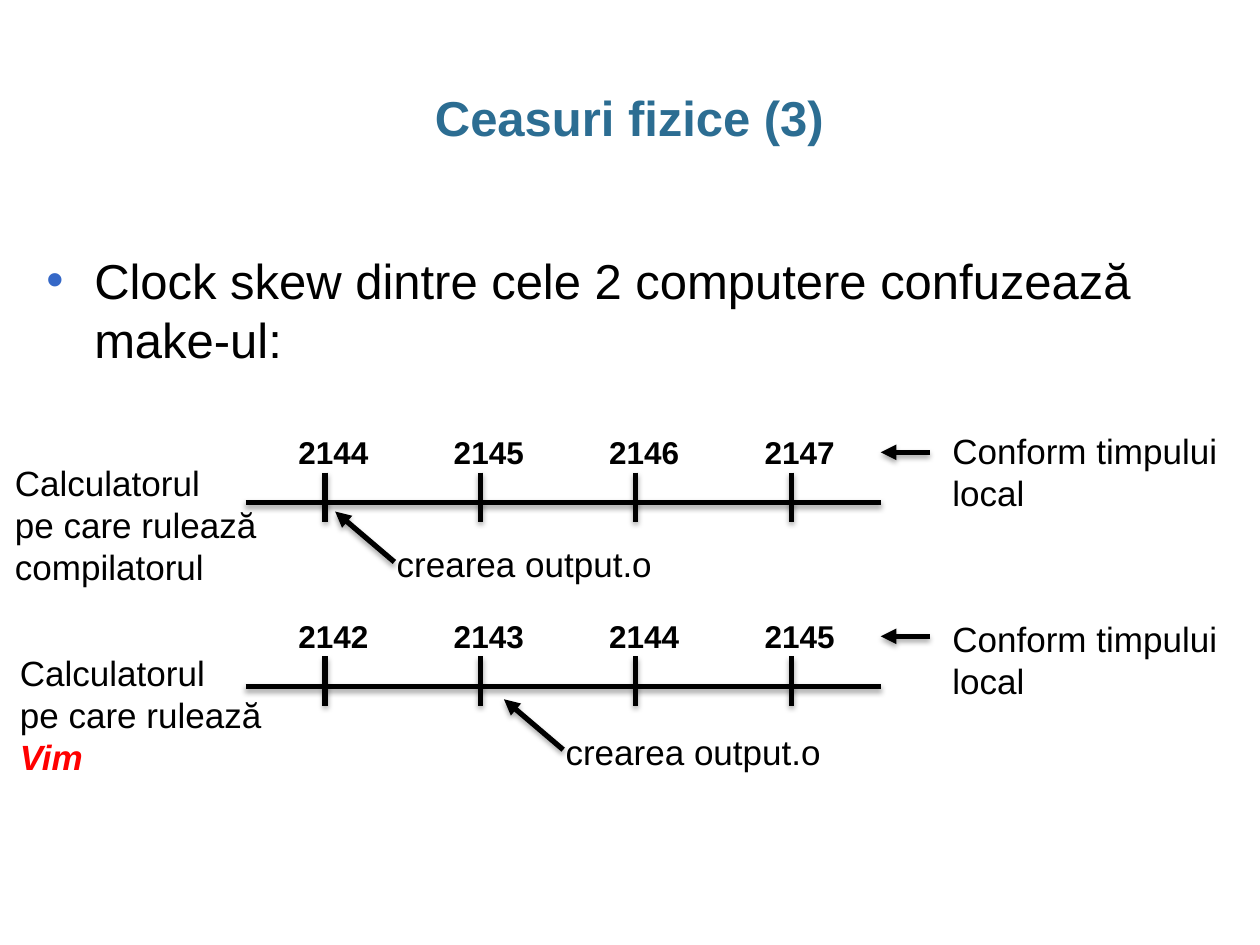
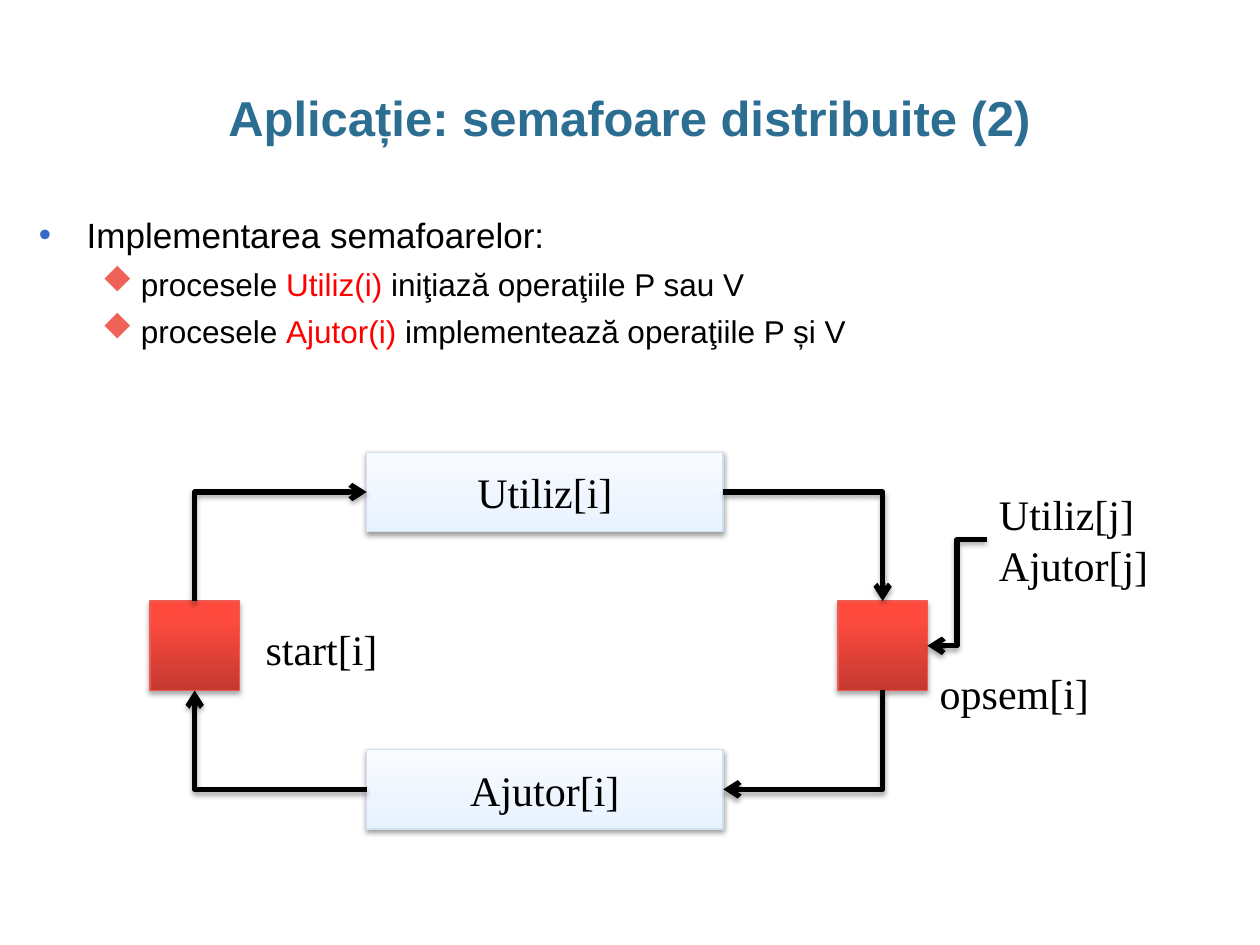
from typing import NamedTuple

from lxml.etree import SubElement
from pptx import Presentation
from pptx.dml.color import RGBColor as RGB
from pptx.enum.shapes import MSO_CONNECTOR as Link, MSO_SHAPE as Form
from pptx.enum.text import MSO_ANCHOR as Anchor, MSO_AUTO_SIZE as Fit, PP_ALIGN as Align
from pptx.oxml.ns import qn
from pptx.util import Inches, Pt

COLORS = {
    "title": "2C6D92", "text": "000000", "alert": "FF0000",
    "dot": "3568C7", "gem": "F06157", "pale": "D0E0F1", "red": "EE5C51",
}
FADES = {
    "pale": [(0, "E7F2FF"), (35, "EEF5FF"), (100, "F8FBFF")],
    "red": [(0, "C43930"), (80, "FF4B3E"), (100, "FF4C3F")],
}
SANS, SERIF = "Arial", "Times New Roman"
# Bullet font and character; "u" is the diamond of the symbol font
MARKS = {"dot": (SANS, "•"), "gem": ("Wingdings", "u")}


class Clock(NamedTuple):
    axis: float
    first: int
    owner: str
    home: tuple[float, float]
    event: tuple[float, float]


class Point(NamedTuple):
    runs: list[tuple[str, str]]
    size: int
    indent: float
    hang: float
    mark: str


class Node(NamedTuple):
    name: str
    text: str
    left: float
    top: float
    width: float
    height: float
    skin: str
    alpha: int
    drop: float


class Elbow(NamedTuple):
    start: str
    exit: int
    end: str
    entry: int
    turn: int = 0
    flip_h: int = 0
    flip_v: int = 0
    kind: str = "bentConnector2"


# Shared helpers
def color(name: str) -> RGB:
    return RGB.from_string(COLORS[name])


def style(run, size: int, face: str = SANS, tint: str = "text", bold: bool = False) -> None:
    run.font.size = Pt(size)
    run.font.name = face
    run.font.bold = bold
    run.font.color.rgb = color(tint)


def add_label(slide, text: str, left: float, top: float, width: float, height: float,
              size: int = 20, face: str = SANS, bold: bool = False):
    box = slide.shapes.add_textbox(Inches(left), Inches(top), Inches(width), Inches(height))
    frame = box.text_frame
    frame.text = text
    frame.word_wrap = False
    frame.auto_size = Fit.SHAPE_TO_FIT_TEXT
    for par in frame.paragraphs:
        for run in par.runs:
            style(run, size, face, bold=bold)
    return box


def add_title(slide, text: str) -> None:
    box = slide.shapes.add_textbox(Inches(0.34), Inches(0.68), Inches(9.31), Inches(0.5))
    frame = box.text_frame
    frame.text = text
    frame.word_wrap = True
    frame.margin_left = frame.margin_right = 0
    par = frame.paragraphs[0]
    par.alignment = Align.CENTER
    par.line_spacing = 0.95
    style(par.runs[0], 28, tint="title", bold=True)


def add_points(slide, points: list[Point], left: float, top: float, width: float,
               height: float, spacing: float, after: int) -> None:
    box = slide.shapes.add_textbox(Inches(left), Inches(top), Inches(width), Inches(height))
    frame = box.text_frame
    frame.word_wrap = True
    for i, point in enumerate(points):
        par = frame.add_paragraph() if i else frame.paragraphs[0]
        props = par._p.get_or_add_pPr()
        props.set("marL", str(Inches(point.indent)))
        props.set("indent", str(-Inches(point.hang)))
        tint = SubElement(props, qn("a:buClr"))
        SubElement(tint, qn("a:srgbClr"), val=COLORS[point.mark])
        face, char = MARKS[point.mark]
        SubElement(props, qn("a:buFont"), typeface=face)
        SubElement(props, qn("a:buChar"), char=char)
        par.line_spacing = spacing
        par.space_before = Pt(point.size * 0.2 if i else 0)
        par.space_after = Pt(after)
        for text, name in point.runs:
            run = par.add_run()
            run.text = text
            style(run, point.size, tint=name)


def add_shadow(props, alpha: int = 35, drop: float = 1.8) -> None:
    effects = SubElement(props, qn("a:effectLst"))
    outer = SubElement(effects, qn("a:outerShdw"), blurRad=str(Pt(3.1)), dist=str(Pt(drop)),
                       dir="5400000", rotWithShape="0")
    tint = SubElement(outer, qn("a:srgbClr"), val=COLORS["text"])
    SubElement(tint, qn("a:alpha"), val=str(alpha * 1000))


def dress(line, head: str = "") -> None:
    line.line.color.rgb = color("text")
    line.line.width = Pt(3)
    if head:
        SubElement(line.line._get_or_add_ln(), qn("a:tailEnd"), type=head)
    add_shadow(line._element.spPr)


def add_line(slide, x1: float, y1: float, x2: float, y2: float, head: str = "") -> None:
    line = slide.shapes.add_connector(
        Link.STRAIGHT, Inches(x1), Inches(y1), Inches(x2), Inches(y2))
    dress(line, head)


# Timelines
def add_clock(slide, clock: Clock) -> None:
    axis = clock.axis
    add_line(slide, 1.95, axis, 6.99, axis)
    for i in range(4):
        x = 2.58 + i * 3.7 / 3
        add_line(slide, x, axis - 0.24, x, axis + 0.15)
        add_label(slide, str(clock.first + i), x - 0.31, axis - 0.6, 0.76, 0.4, 18, bold=True)
    add_line(slide, 7.38, axis - 0.4, 6.99, axis - 0.4, "triangle")

    left, top = clock.event
    add_line(slide, left + 0.08, top + 0.2, left - 0.39, top - 0.2, "triangle")
    add_label(slide, "crearea output.o", left, top, 2.24, 0.44)
    add_label(slide, "Conform timpului\nlocal", 7.46, top - 0.9, 2.32, 0.77)
    owner = add_label(slide, f"Calculatorul\npe care rulează\n{clock.owner}",
                      *clock.home, 2.13, 1.11)
    if clock.owner == "Vim":
        run = owner.text_frame.paragraphs[-1].runs[0]
        style(run, 20, tint="alert", bold=True)
        run.font.italic = True


# Process diagram
def add_node(slide, node: Node):
    box = slide.shapes.add_shape(Form.RECTANGLE, Inches(node.left), Inches(node.top),
                                 Inches(node.width), Inches(node.height))
    box.fill.gradient()
    box.fill.gradient_angle = 90
    stops = box._element.spPr.find(qn("a:gradFill")).find(qn("a:gsLst"))
    for stop in list(stops):
        stops.remove(stop)
    for pos, tint in FADES[node.skin]:
        stop = SubElement(stops, qn("a:gs"), pos=str(pos * 1000))
        SubElement(stop, qn("a:srgbClr"), val=tint)
    box.line.color.rgb = color(node.skin)
    box.line.width = Pt(0.75)
    add_shadow(box._element.spPr, node.alpha, node.drop)
    if node.text:
        frame = box.text_frame
        frame.text = node.text
        frame.vertical_anchor = Anchor.MIDDLE
        frame.paragraphs[0].alignment = Align.CENTER
        style(frame.paragraphs[0].runs[0], 24, SERIF)
    return box


def add_elbow(slide, elbow: Elbow, boxes: dict) -> None:
    line = slide.shapes.add_connector(Link.ELBOW, 0, 0, 0, 0)
    line.begin_connect(boxes[elbow.start], elbow.exit)
    line.end_connect(boxes[elbow.end], elbow.entry)
    # A quarter turn swaps the frame's sides about its centre
    mid_x = (line.begin_x + line.end_x) // 2
    mid_y = (line.begin_y + line.end_y) // 2
    width, height = line.width, line.height
    if elbow.turn == 90:
        width, height = height, width
    line.left, line.top = mid_x - width // 2, mid_y - height // 2
    line.width, line.height = width, height
    props = line._element.spPr
    frame = props.find(qn("a:xfrm"))
    frame.set("rot", str(elbow.turn * 60000))
    frame.set("flipH", str(elbow.flip_h))
    frame.set("flipV", str(elbow.flip_v))
    props.find(qn("a:prstGeom")).set("prst", elbow.kind)
    dress(line, "arrow")


CLOCKS = [
    Clock(3.99, 2144, "compilatorul", (0.02, 3.61), (3.05, 4.26)),
    Clock(5.45, 2142, "Vim", (0.06, 5.12), (4.39, 5.75)),
]
NODES = [
    Node("user", "Utiliz[i]", 2.91, 3.59, 2.83, 0.63, "pale", 38, 1.6),
    Node("helper", "Ajutor[i]", 2.91, 5.95, 2.83, 0.63, "pale", 38, 1.6),
    Node("start", "", 1.19, 4.77, 0.71, 0.71, "red", 35, 1.8),
    Node("opsem", "", 6.65, 4.77, 0.71, 0.71, "red", 35, 1.8),
]
ELBOWS = [
    Elbow("start", 0, "user", 1, 90, 1, 1),
    Elbow("user", 3, "opsem", 0),
    Elbow("opsem", 2, "helper", 3, 90),
    Elbow("helper", 1, "start", 2, 180),
    Elbow("others", 1, "opsem", 3, 180, 0, 1, "bentConnector3"),
]


def clock_slide(slide) -> None:
    add_title(slide, "Ceasuri fizice (3)")
    text = "Clock skew dintre cele 2 computere confuzează make-ul:"
    add_points(slide, [Point([(text, "text")], 28, 0.38, 0.38, "dot")],
               0.27, 1.94, 9.17, 1.17, 1.0, 0)
    for clock in CLOCKS:
        add_clock(slide, clock)


def flow_slide(slide) -> None:
    add_title(slide, "Aplicație: semafoare distribuite (2)")
    points = [Point([("Implementarea semafoarelor:", "text")], 20, 0.38, 0.38, "dot")]
    for name, rest in [("Utiliz(i)", " iniţiază operaţiile P sau V"),
                       ("Ajutor(i)", " implementează operaţiile P și V")]:
        runs = [("procesele ", "text"), (name, "alert"), (rest, "text")]
        points.append(Point(runs, 18, 0.81, 0.31, "gem"))
    add_points(slide, points, 0.21, 1.71, 9.58, 5.26, 0.8, 6)

    boxes = {node.name: add_node(slide, node) for node in NODES}
    add_label(slide, "start[i]", 2.01, 4.9, 1.1, 0.5, 24, SERIF)
    add_label(slide, "opsem[i]", 7.36, 5.25, 1.4, 0.5, 24, SERIF)
    boxes["others"] = add_label(slide, "Utiliz[j]\nAjutor[j]", 7.83, 3.83, 1.4, 0.91, 24, SERIF)
    for elbow in ELBOWS:
        add_elbow(slide, elbow, boxes)


def main() -> None:
    deck = Presentation()
    deck.slide_width, deck.slide_height = Inches(10), Inches(7.5)
    for draw in (clock_slide, flow_slide):
        draw(deck.slides.add_slide(deck.slide_layouts[6]))
    deck.save("out.pptx")


if __name__ == "__main__":
    main()
